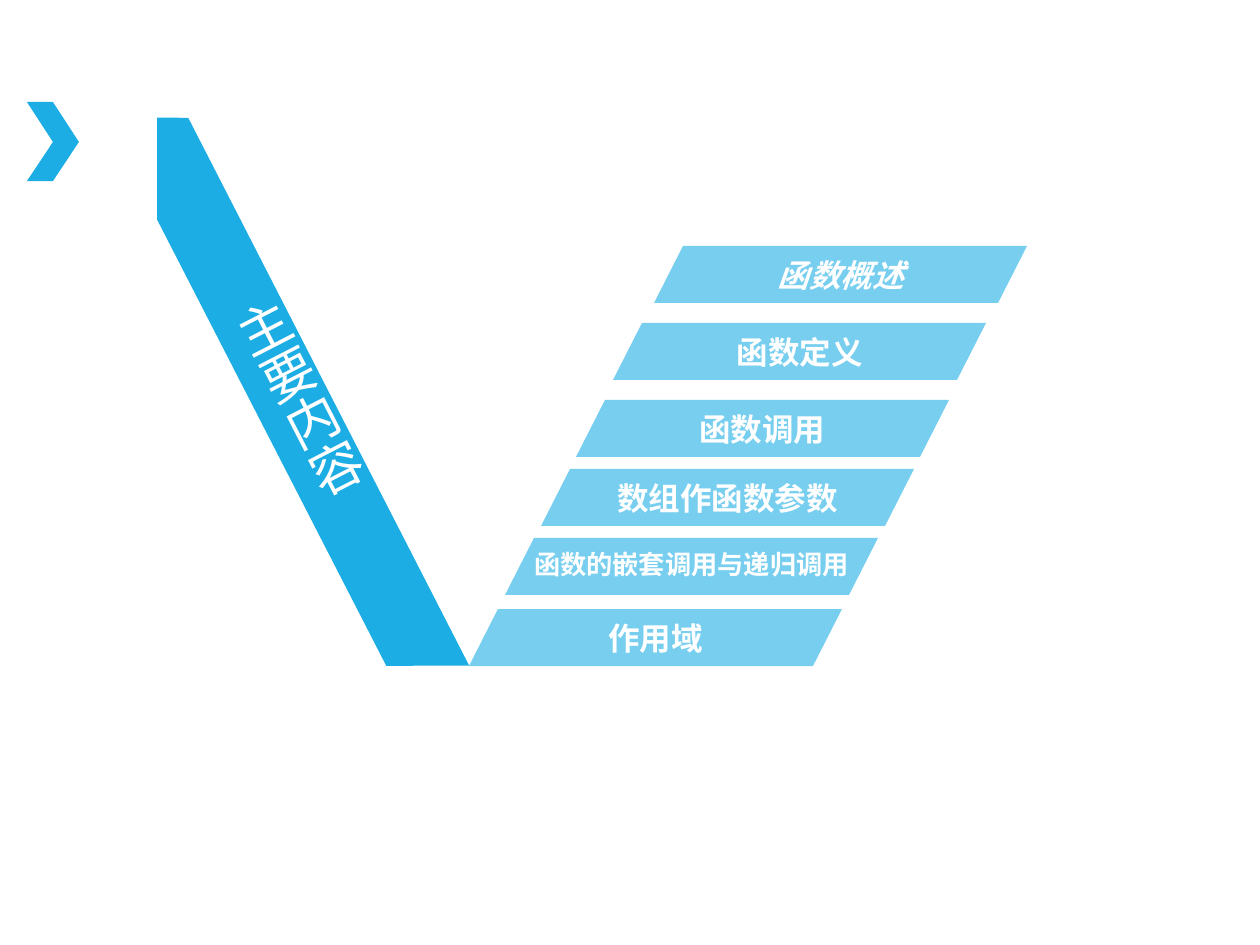
from math import cos, radians, sin

from lxml.etree import SubElement
from pptx import Presentation
from pptx.dml.color import RGBColor
from pptx.enum.text import MSO_ANCHOR as Anchor, PP_ALIGN as Align
from pptx.oxml.ns import qn
from pptx.util import Pt

PX = 914400 / 126
FINE = 10
BLUE = RGBColor(0x1C, 0xAD, 0xE4)
LIGHT_BLUE = RGBColor(0x77, 0xCE, 0xEF)
WHITE = RGBColor(0xFF, 0xFF, 0xFF)
CJK_FONT = "Noto Sans CJK SC"


def add_polygon(slide, points, color):
    fine_points = [(round(x * FINE), round(y * FINE)) for x, y in points]
    builder = slide.shapes.build_freeform(*fine_points[0], scale=PX / FINE)
    builder.add_line_segments(fine_points[1:], close=True)
    shape = builder.convert_to_shape()
    shape.shadow.inherit = False
    shape.fill.solid()
    shape.fill.fore_color.rgb = color
    shape.line.fill.background()
    return shape


def add_label(shape, text, font_name, size, insets, bold=False, italic=False):
    frame = shape.text_frame
    frame.word_wrap = True
    frame.vertical_anchor = Anchor.MIDDLE
    frame.margin_left, frame.margin_top, frame.margin_right, frame.margin_bottom = [
        round(inset * PX) for inset in insets
    ]
    paragraph = frame.paragraphs[0]
    paragraph.alignment = Align.CENTER
    run = paragraph.add_run()
    run.text = text
    run.font.name = font_name
    run.font.size = Pt(size)
    run.font.bold = bold
    run.font.italic = italic
    run.font.color.rgb = WHITE
    SubElement(run.font._element, qn("a:ea"), typeface=CJK_FONT)
    return paragraph


presentation = Presentation()
presentation.slide_width = round(1260 * PX)
presentation.slide_height = round(945 * PX)
slide = presentation.slides.add_slide(presentation.slide_layouts[6])

chevron = [(27, 102), (53, 102), (79, 142), (53, 181), (27, 181), (53, 142)]
add_polygon(slide, chevron, BLUE)

BAR_WIDTH, BAR_HEIGHT, SLANT = 373, 57, 29
topics = [
    ("作用域", 469, 609, 18, "Times New Roman"),
    ("函数的嵌套调用与递归调用", 505, 538, 15, "Times New Roman"),
    ("数组作函数参数", 541, 469, 18, "Times New Roman"),
    ("函数调用", 576, 400, 18, "Times New Roman"),
    ("函数定义", 613, 323, 18, "Times New Roman"),
    ("函数概述", 654, 246, 18, CJK_FONT),
]
for text, left, top, size, font_name in topics:
    right, bottom = left + BAR_WIDTH, top + BAR_HEIGHT
    corners = [(left + SLANT, top), (right, top), (right - SLANT, bottom), (left, bottom)]
    bar = add_polygon(slide, corners, LIGHT_BLUE)
    paragraph = add_label(bar, text, font_name, size, (23, 5, 23, 5),
                          bold=True, italic=font_name == CJK_FONT)
    if size == 15:
        paragraph.line_spacing = 0.9

TILT = 27.1
CENTER_X, CENTER_Y = 293, 403
cosine, sine = cos(radians(TILT)), sin(radians(TILT))
band_corners = [(157, 118), (188, 118), (469, 666), (386, 666), (157, 220)]
upright_corners = [
    (CENTER_X + (x - CENTER_X) * cosine - (y - CENTER_Y) * sine,
     CENTER_Y + (x - CENTER_X) * sine + (y - CENTER_Y) * cosine)
    for x, y in band_corners
]
band = add_polygon(slide, upright_corners, BLUE)
band.rotation = 360 - TILT
add_label(band, "主要内容", "Arial", 30, (26, 205, 11, 205))
band_body = band.text_frame._txBody.bodyPr
band_body.set("vert", "eaVert")
band_body.set("anchorCtr", "1")

presentation.save("out.pptx")
